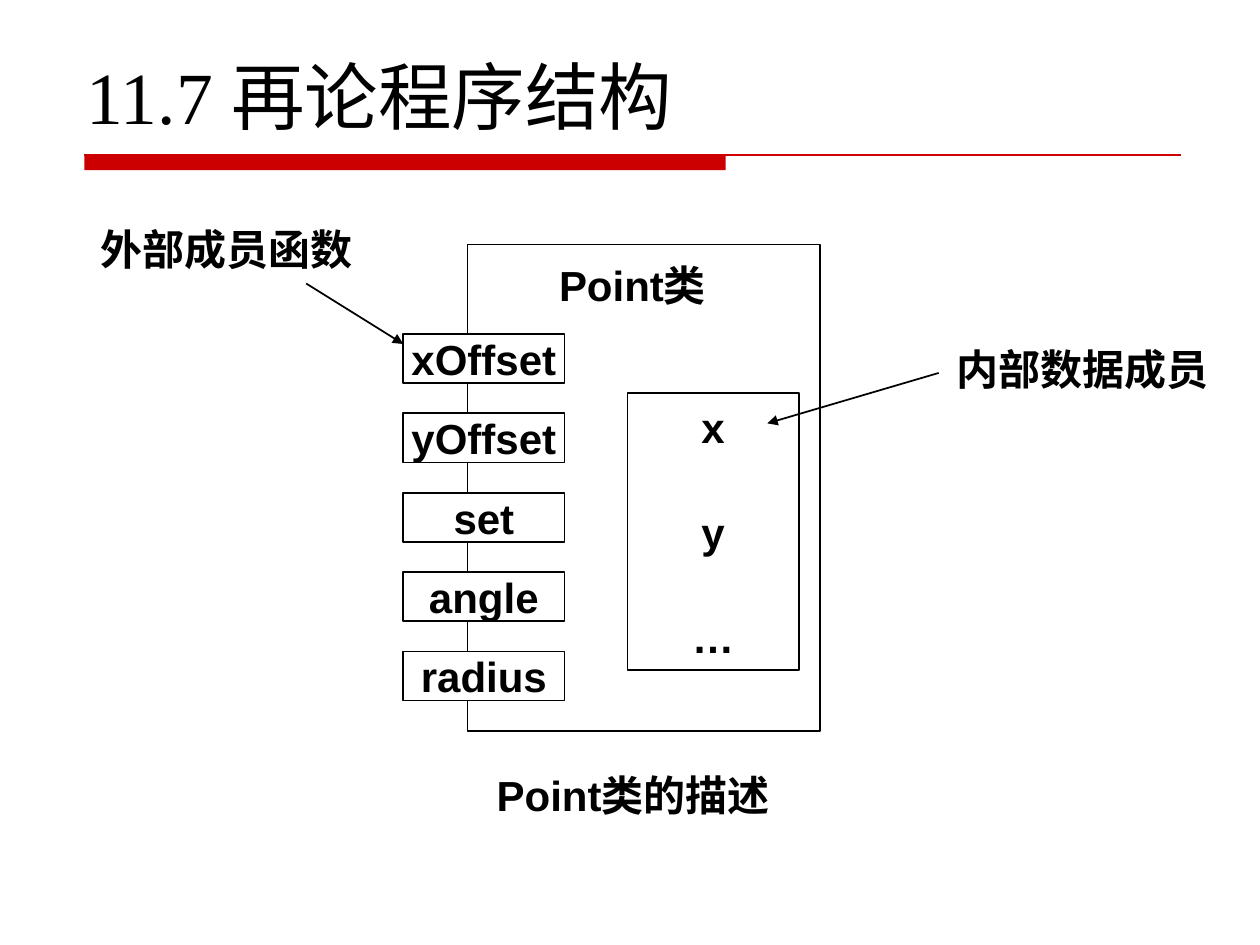
from dataclasses import dataclass

from lxml import etree
from pptx import Presentation
from pptx.dml.color import RGBColor
from pptx.enum.shapes import MSO_CONNECTOR, MSO_SHAPE
from pptx.enum.text import MSO_ANCHOR, PP_ALIGN
from pptx.oxml.ns import qn
from pptx.util import Inches, Pt

RECTANGLE = MSO_SHAPE.RECTANGLE
STRAIGHT = MSO_CONNECTOR.STRAIGHT
MIDDLE = MSO_ANCHOR.MIDDLE
LEFT, CENTER = PP_ALIGN.LEFT, PP_ALIGN.CENTER

COLORS = {"ink": "000000", "paper": "FFFFFF", "accent": "CC0000"}
TITLE_FONT, BODY_FONT = "Times New Roman", "Arial"


@dataclass
class Box:
    left: float
    top: float
    width: float
    height: float
    lines: tuple = ()
    outline: str = "ink"
    fill: str = "paper"
    gap: float = 0


@dataclass
class Line:
    start: tuple
    end: tuple
    color: str = "ink"
    weight: float = 1
    arrow: bool = True


def rgb(name: str) -> RGBColor:
    return RGBColor.from_string(COLORS[name])


def write(frame, lines, *, font=BODY_FONT, size=24, bold=True,
          align=CENTER, wrap=False, gap=0) -> None:
    frame.word_wrap = wrap
    frame.vertical_anchor = MIDDLE
    for index, line in enumerate(lines):
        paragraph = frame.add_paragraph() if index else frame.paragraphs[0]
        paragraph.alignment = align
        paragraph.space_before = Pt(gap if index else 0)
        run = paragraph.add_run()
        run.text = line
        run.font.name = font
        run.font.size = Pt(size)
        run.font.bold = bold
        run.font.color.rgb = rgb("ink")


def draw_box(slide, box: Box) -> None:
    shape = slide.shapes.add_shape(
        RECTANGLE, Inches(box.left), Inches(box.top),
        Inches(box.width), Inches(box.height))
    shape.shadow.inherit = False
    shape.fill.solid()
    shape.fill.fore_color.rgb = rgb(box.fill)
    if box.outline:
        shape.line.color.rgb = rgb(box.outline)
        shape.line.width = Pt(1)
    else:
        shape.line.fill.background()
    if box.lines:
        write(shape.text_frame, box.lines, gap=box.gap)


def draw_line(slide, line: Line) -> None:
    connector = slide.shapes.add_connector(
        STRAIGHT, *(Inches(value) for value in line.start + line.end))
    connector.line.color.rgb = rgb(line.color)
    connector.line.width = Pt(line.weight)
    if line.arrow:
        outline = connector.line._get_or_add_ln()
        etree.SubElement(outline, qn("a:tailEnd"), type="triangle")
    etree.SubElement(connector._element.spPr, qn("a:effectLst"))


def draw_title(slide, text: str) -> None:
    title = slide.shapes.title
    title.left, title.top = Inches(0.4), Inches(0.13)
    title.width, title.height = Inches(7.83), Inches(1.25)
    write(title.text_frame, [text], font=TITLE_FONT, size=42, bold=False,
          align=LEFT, wrap=True)
    properties = title.text_frame.paragraphs[0]._p.get_or_add_pPr()
    properties.set("marL", str(Inches(0.19)))
    properties.set("indent", "0")


# Member functions straddle the left edge of the class
FUNCTIONS = ("xOffset", "yOffset", "set", "angle", "radius")
FUNCTION_TOP, FUNCTION_STEP = 2.65, 0.63
LABEL_HEIGHT = 0.39

CLASS_BOXES = [
    Box(3.71, 1.94, 2.8, 3.86),
    Box(4.3, 2.1, 1.44, 0.32, ("Point类",), outline="paper"),
    *(Box(3.2, FUNCTION_TOP + row * FUNCTION_STEP, 1.28, LABEL_HEIGHT, (name,))
      for row, name in enumerate(FUNCTIONS)),
    Box(4.98, 3.12, 1.36, 2.2, ("x", "y", "…"), gap=31),
]
LABELS = [
    Box(7.7, 2.73, 1.79, LABEL_HEIGHT, ("内部数据成员",), outline="paper"),
    Box(0.9, 1.78, 1.79, LABEL_HEIGHT, ("外部成员函数",), outline="paper"),
    Box(3.54, 6.11, 2.97, LABEL_HEIGHT, ("Point类的描述",), outline="paper"),
]
POINTERS = [
    Line((7.45, 2.96), (6.09, 3.36)),
    Line((2.43, 2.25), (3.2, 2.73)),
]


def main() -> None:
    deck = Presentation()
    deck.slide_width, deck.slide_height = Inches(10), Inches(7.5)
    slide = deck.slides.add_slide(deck.slide_layouts[5])

    # Title and its red rule
    draw_title(slide, "11.7 再论程序结构")
    draw_box(slide, Box(0.67, 1.23, 5.09, 0.12, outline="", fill="accent"))
    draw_line(slide, Line((0.67, 1.23), (9.37, 1.23), "accent", 0.75, False))

    # Class diagram with its labels and pointers
    for box in CLASS_BOXES + LABELS:
        draw_box(slide, box)
    for pointer in POINTERS:
        draw_line(slide, pointer)

    deck.save("out.pptx")


if __name__ == "__main__":
    main()
